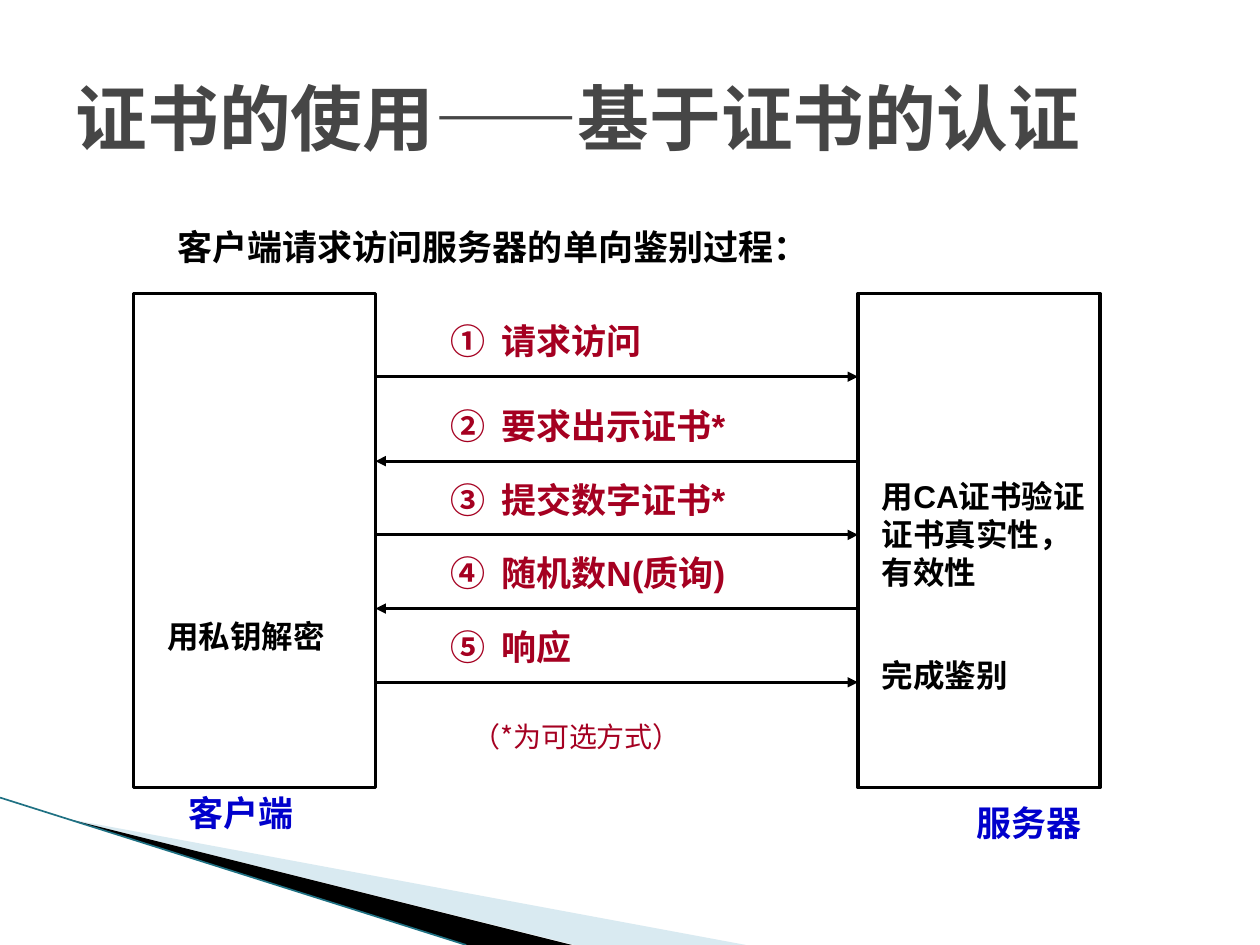
from dataclasses import dataclass

from lxml.etree import SubElement
from pptx import Presentation
from pptx.dml.color import RGBColor
from pptx.enum.lang import MSO_LANGUAGE_ID as Language
from pptx.enum.shapes import MSO_CONNECTOR as Connector, MSO_SHAPE as Shape
from pptx.enum.text import MSO_ANCHOR as Anchor, MSO_AUTO_SIZE as AutoSize, PP_ALIGN as Align
from pptx.oxml.ns import qn
from pptx.util import Inches, Pt

UNIT = Inches(0.1)


@dataclass(frozen=True)
class Theme:
    """Colours, fonts and type sizes of the slide."""
    paper: str = "FFFFFF"
    ink: str = "000000"
    heading: str = "464646"
    message: str = "A50021"
    party: str = "0000CC"
    wedge: str = "A0CBDC"
    edge: str = "1F7183"
    title_font: str = "DejaVu Sans Mono"
    text_font: str = "Arial"
    note_font: str = "Noto Sans CJK SC"
    title_size: float = 41
    label_size: float = 20
    action_size: float = 18
    note_size: float = 16


@dataclass(frozen=True)
class Box:
    """A region in columns and rows of a 100 by 75 grid."""
    left: float
    top: float
    width: float
    height: float

    def inset(self, column, row, width, height):
        """Return a region offset from this one."""
        return Box(self.left + column, self.top + row, width, height)

    def lengths(self):
        """Return left, top, width and height as slide lengths."""
        return [round(n * UNIT) for n in (self.left, self.top, self.width, self.height)]


THEME = Theme()


def rgb(code):
    """Turn a hex code into a colour."""
    return RGBColor.from_string(code)


def style(paragraph, size, color, font=THEME.text_font, bold=True):
    """Format a whole paragraph."""
    paragraph.alignment = Align.LEFT
    face = paragraph.font
    face.name, face.size, face.bold = font, Pt(size), bold
    face.color.rgb = rgb(color)
    face.language_id = Language.SIMPLIFIED_CHINESE


def add_text(slide, box, text, size, color, font=THEME.text_font, bold=True, wrap=True, tab=None):
    """Place one paragraph of text in a box."""
    frame = slide.shapes.add_textbox(*box.lengths()).text_frame
    frame.word_wrap = wrap
    frame.auto_size = AutoSize.SHAPE_TO_FIT_TEXT
    paragraph = frame.paragraphs[0]
    paragraph.add_run().text = text
    if tab:
        stops = SubElement(paragraph._p.get_or_add_pPr(), qn("a:tabLst"))
        SubElement(stops, qn("a:tab"), pos=str(round(tab * UNIT)), algn="l")
    style(paragraph, size, color, font, bold)


def add_line(slide, start, end, color, width, arrow=False):
    """Draw a straight line between two grid points."""
    ends = [round(n * UNIT) for n in (*start, *end)]
    connector = slide.shapes.add_connector(Connector.STRAIGHT, *ends)
    connector.line.color.rgb = rgb(color)
    connector.line.width = Pt(width)
    if arrow:
        SubElement(connector.line._get_or_add_ln(), qn("a:tailEnd"), type="triangle")
    SubElement(connector._element.spPr, qn("a:effectLst"))


def add_wedge(slide, points, color, opacity=None):
    """Draw a filled outline through grid points."""
    corners = [(round(x * UNIT), round(y * UNIT)) for x, y in points]
    builder = slide.shapes.build_freeform(*corners[0])
    builder.add_line_segments(corners[1:], close=True)
    wedge = builder.convert_to_shape()
    wedge.shadow.inherit = False
    wedge.fill.solid()
    wedge.fill.fore_color.rgb = rgb(color)
    wedge.line.fill.background()
    if opacity:
        tint = wedge._element.spPr.find(f".//{qn('a:srgbClr')}")
        SubElement(tint, qn("a:alpha"), val=str(opacity * 1000))


def add_corner(slide, box):
    """Draw the swoosh in the lower left corner."""
    left, top, bottom = box.left, box.top, box.top + box.height
    tip = (left + 5.4, top + 1.7)
    add_wedge(slide, [tip, (left + 59.2, bottom), (left + 45.6, bottom)], THEME.wedge, 40)
    add_wedge(slide, [tip, (left + 45.4, bottom), (left + 37, bottom)], THEME.ink)
    add_line(slide, (left, top), (left + 37, bottom), THEME.edge, 0.95)


def add_title(slide, box, text):
    """Fill and place the title placeholder."""
    title = slide.shapes.title
    title.left, title.top, title.width, title.height = box.lengths()
    title.fill.solid()
    title.fill.fore_color.rgb = rgb(THEME.paper)
    title.text_frame.text = text
    title.text_frame.vertical_anchor = Anchor.MIDDLE
    style(title.text_frame.paragraphs[0], THEME.title_size, THEME.heading, THEME.title_font)


def add_party(slide, box, name, name_spot, actions):
    """Draw one party with its name below and its actions inside."""
    frame = slide.shapes.add_shape(Shape.RECTANGLE, *box.lengths())
    frame.shadow.inherit = False
    frame.fill.background()
    frame.line.color.rgb = rgb(THEME.ink)
    frame.line.width = Pt(2)
    add_text(slide, box.inset(*name_spot, 10.4, 4.3), name,
             THEME.label_size, THEME.party, wrap=False)
    for action, spot in actions:
        add_text(slide, box.inset(*spot), action, THEME.action_size, THEME.ink)


def add_messages(slide, box, messages, note):
    """Draw the numbered messages as arrows in alternating directions."""
    first, second, step = 6.6, 13.3, 5.85
    left, right = box.left, box.left + box.width
    for index, message in enumerate(messages):
        row = second + (index - 1) * step if index else first
        ends = [(left, box.top + row), (right, box.top + row)]
        start, end = reversed(ends) if index % 2 else ends
        add_line(slide, start, end, THEME.ink, 1.75, arrow=True)
        add_text(slide, box.inset(5, row - 5, 30.8, 4.3), message,
                 THEME.label_size, THEME.message, tab=4)
    add_text(slide, box.inset(6.7, 33.3, 20, 3.7), note,
             THEME.note_size, THEME.message, THEME.note_font, bold=False)


def add_exchange(slide, box):
    """Lay out the authentication exchange between client and server."""
    party = 19.2
    add_text(slide, box.inset(2.5, -5.9, 55.8, 4.3), "客户端请求访问服务器的单向鉴别过程：",
             THEME.label_size, THEME.ink)
    add_messages(slide, box.inset(party, 0, box.width - 2 * party, box.height),
                 ["①\t请求访问", "②\t要求出示证书*", "③\t提交数字证书*",
                  "④\t随机数N(质询)", "⑤\t响应"], "（*为可选方式）")
    add_party(slide, box.inset(0, 0, party, box.height), "客户端", (3.4, 39),
              [("用私钥解密", (1.7, 25.2, 16.7, 4))])
    add_party(slide, box.inset(box.width - party, 0, party, box.height), "服务器", (8.4, 39.8),
              [("用CA证书验证证书真实性，有效性", (0.9, 14.1, 18.9, 10)),
               ("完成鉴别", (0.9, 28.3, 16.7, 4))])


def main():
    """Build and save the slide."""
    deck = Presentation()
    deck.slide_width, deck.slide_height = 100 * UNIT, 75 * UNIT
    slide = deck.slides.add_slide(deck.slide_layouts[5])
    add_corner(slide, Box(0, 63.3, 59.2, 11.7))
    add_title(slide, Box(5, 3, 90, 12.5), "证书的使用——基于证书的认证")
    add_exchange(slide, Box(10.6, 23.3, 76.7, 39.2))
    deck.save("out.pptx")


if __name__ == "__main__":
    main()
